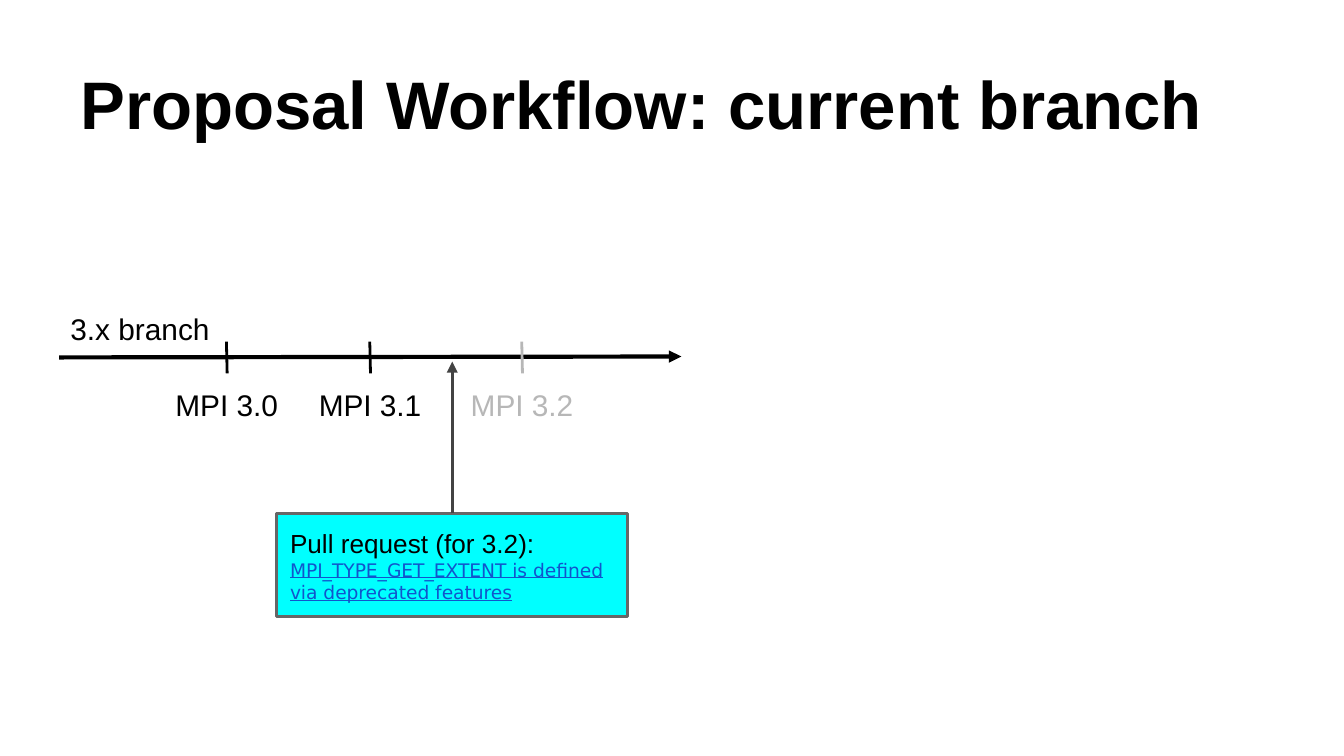
from lxml import etree
from pptx import Presentation
from pptx.dml.color import RGBColor
from pptx.enum import shapes, text
from pptx.oxml import ns
from pptx.util import Pt

BLACK, GREY, DARK_GREY = "000000", "B7B7B7", "434343"


def color(value):
    return RGBColor.from_string(value)


class Canvas:
    font = "Arial"
    inset = Pt(7.2)

    def __init__(self, slide):
        self.slide = slide

    def add_lines(self, shape, lines, align, anchor):
        """Fill a shape with (text, size, colour, font name, bold, underline) lines."""
        frame = shape.text_frame
        frame.word_wrap = True
        frame.auto_size = text.MSO_AUTO_SIZE.NONE
        frame.vertical_anchor = anchor
        frame.margin_left = frame.margin_right = self.inset
        frame.margin_top = frame.margin_bottom = self.inset
        for index, (words, size, hue, name, bold, underline) in enumerate(lines):
            paragraph = frame.add_paragraph() if index else frame.paragraphs[0]
            paragraph.text = words
            paragraph.alignment = align
            font = paragraph.font
            font.name, font.size = name, Pt(size)
            font.bold, font.underline = bold, underline
            font.color.rgb = color(hue)

    def label(self, left, top, width, height, words, size=16, hue=BLACK, bold=False,
              align=text.PP_ALIGN.CENTER, anchor=text.MSO_ANCHOR.TOP):
        box = self.slide.shapes.add_textbox(Pt(left), Pt(top), Pt(width), Pt(height))
        self.add_lines(box, [(words, size, hue, self.font, bold, False)], align, anchor)

    def box(self, left, top, width, height, fill, outline, lines):
        shape = self.slide.shapes.add_shape(
            shapes.MSO_SHAPE.RECTANGLE, Pt(left), Pt(top), Pt(width), Pt(height))
        shape.shadow.inherit = False
        shape.fill.solid()
        shape.fill.fore_color.rgb = color(fill)
        shape.line.color.rgb = color(outline)
        shape.line.width = Pt(1.5)
        self.add_lines(shape, lines, text.PP_ALIGN.LEFT, text.MSO_ANCHOR.MIDDLE)
        return shape

    def line(self, x1, y1, x2, y2, hue=BLACK, width=1.5, arrow=False):
        connector = self.slide.shapes.add_connector(
            shapes.MSO_CONNECTOR.STRAIGHT, Pt(x1), Pt(y1), Pt(x2), Pt(y2))
        connector.line.color.rgb = color(hue)
        connector.line.width = Pt(width)
        properties = connector._element.spPr
        if arrow:
            etree.SubElement(properties.find(ns.qn("a:ln")), ns.qn("a:tailEnd"),
                             type="triangle")
        etree.SubElement(properties, ns.qn("a:effectLst"))
        return connector


def main():
    presentation = Presentation()
    presentation.slide_width, presentation.slide_height = Pt(720), Pt(405)
    canvas = Canvas(presentation.slides.add_slide(presentation.slide_layouts[6]))

    canvas.label(36, 16.5, 648, 67.5, "Proposal Workflow: current branch", 36, bold=True,
                 align=text.PP_ALIGN.LEFT, anchor=text.MSO_ANCHOR.BOTTOM)

    canvas.label(24.5, 159, 101, 31, "3.x branch")
    canvas.line(31.7, 191.5, 365, 191, width=2.25, arrow=True)
    label_width = 81.4
    for release, x, hue in (("MPI 3.0", 121.5, BLACK), ("MPI 3.1", 198.3, BLACK),
                            ("MPI 3.2", 279.7, GREY)):
        canvas.line(x - 0.2, 183, x + 0.2, 200, hue)
        canvas.label(x - label_width / 2, 200, label_width, 31.5, release, hue=hue)

    left, top, width = 148.3, 275, 188
    request = canvas.box(left, top, width, 55.5, "00FFFF", "666666", [
        ("Pull request (for 3.2):", 14, BLACK, canvas.font, False, False),
        ("MPI_TYPE_GET_EXTENT is defined via deprecated features", 10, "1155CC",
         "DejaVu Sans", False, True),
    ])
    middle = left + width / 2
    arrow = canvas.line(middle, top, middle, 193.7, DARK_GREY, arrow=True)
    arrow.begin_connect(request, 0)

    presentation.save("out.pptx")


if __name__ == "__main__":
    main()
